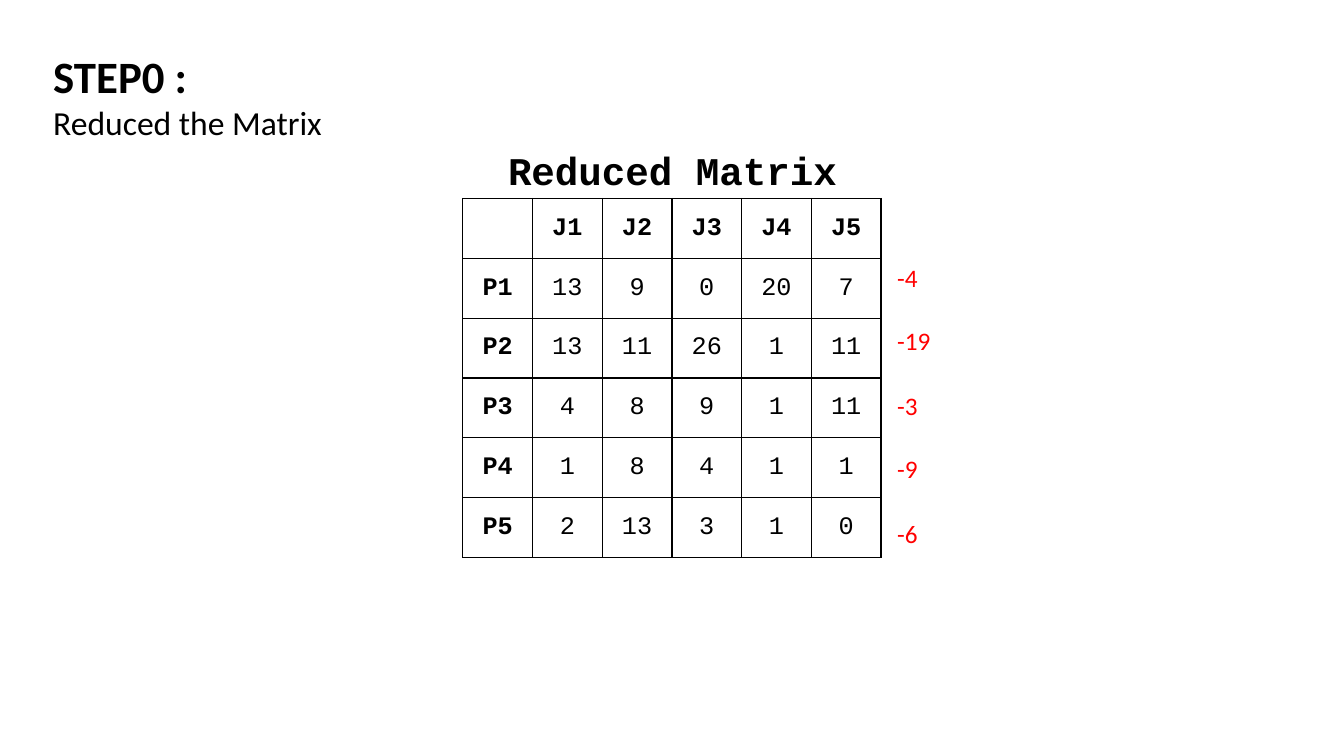
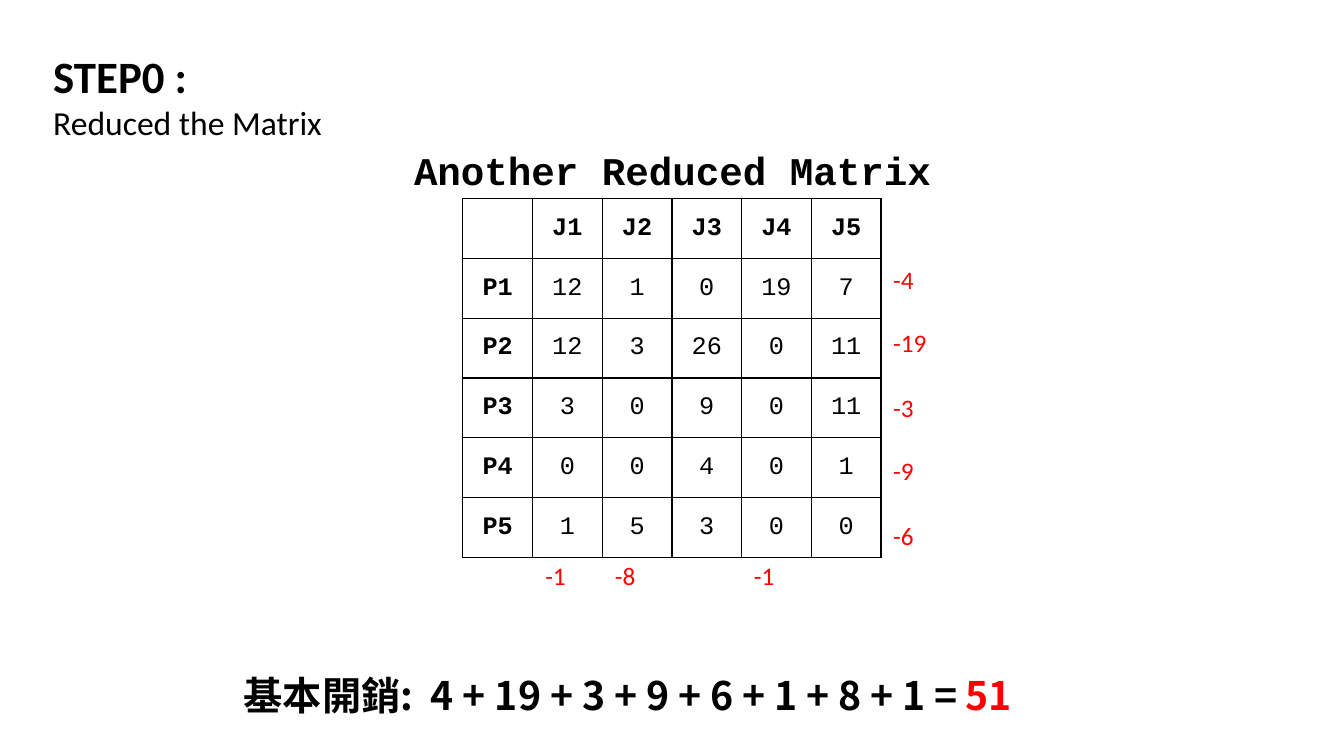
import pptx
import pptx.util
import pptx.dml.color
import pptx.enum.text
import pptx.oxml
import pptx.oxml.ns
import lxml.etree

PX = 9144  # EMU in one px, 100 px to the inch
INK = {"text": "000000", "mark": "FF0000", "cell": "FFFFFF"}
SANS, MONO, CJK = "Calibri", "Courier New", "Noto Sans CJK SC"
ALIGN = pptx.enum.text.PP_ALIGN
GRID = {"left": 459, "top": 197, "wide": 415, "high": 356}
COLUMN = 69
CUTS = [4, 19, 3, 9, 6]


def rgb(name):
    return pptx.dml.color.RGBColor.from_string(INK[name])


class Deck:
    def __init__(self, wide, high):
        self.file = pptx.Presentation()
        self.file.slide_width = wide * PX
        self.file.slide_height = high * PX
        self.slide = None

    def page(self):
        self.slide = self.file.slides.add_slide(self.file.slide_layouts[6])

    def style(self, para, size, face=SANS, ink="text", bold=False, align=None):
        para.alignment = align
        font = para.font
        font.size, font.bold, font.name = pptx.util.Pt(size), bold, face
        font.color.rgb = rgb(ink)
        if face == CJK:
            base = para._p.get_or_add_pPr().get_or_add_defRPr()
            lxml.etree.SubElement(base, pptx.oxml.ns.qn("a:ea"), typeface=face)

    def text(self, left, top, wide, high, words, size, **look):
        """Add a one-paragraph box and return its frame."""
        box = self.slide.shapes.add_textbox(
            left * PX, top * PX, wide * PX, high * PX)
        frame = box.text_frame
        frame.word_wrap = True
        frame.text = words
        self.style(frame.paragraphs[0], size, **look)
        return frame

    def head(self, step, topic):
        frame = self.text(43, 43, 296, 104, step, 32, bold=True)
        para = frame.add_paragraph()
        para.text = topic
        self.style(para, 24)

    def label(self, words):
        self.text(397, 140, 540, 57, words, 28, face=MONO, bold=True,
                  align=ALIGN.CENTER)

    def mark(self, left, top, cut):
        self.text(left, top, 60, 40, f"-{cut}", 18, ink="mark")

    def edge(self, cell):
        """Draw a 1 pt line on all four sides of a cell."""
        props = cell._tc.get_or_add_tcPr()
        for side in ("lnL", "lnR", "lnT", "lnB"):
            props.append(pptx.oxml.parse_xml(
                f'<a:{side} {pptx.oxml.ns.nsdecls("a")} w="12700"><a:solidFill>'
                f'<a:srgbClr val="{INK["text"]}"/></a:solidFill></a:{side}>'))

    def matrix(self, costs):
        rows = [[""] + [f"J{n}" for n in range(1, len(costs[0]) + 1)]]
        rows += [[f"P{n}"] + row for n, row in enumerate(costs, 1)]
        table = self.slide.shapes.add_table(
            len(rows), len(rows[0]), *(size * PX for size in GRID.values())).table
        table.first_row = table.horz_banding = False
        for r, row in enumerate(rows):
            for c, value in enumerate(row):
                cell = table.cell(r, c)
                cell.text = str(value)
                cell.vertical_anchor = pptx.enum.text.MSO_ANCHOR.MIDDLE
                self.style(cell.text_frame.paragraphs[0], 18, face=MONO,
                           bold=r == 0 or c == 0, align=ALIGN.CENTER)
                self.edge(cell)
                cell.fill.solid()
                cell.fill.fore_color.rgb = rgb("cell")

    def step(self, title, costs, left, top):
        """Start a slide with its matrix and the row cuts at left, top."""
        self.page()
        self.matrix(costs)
        for n, cut in enumerate(CUTS):
            self.mark(left, top + n * 127 // 2, cut)
        self.head("STEP0 :", "Reduced the Matrix")
        self.label(title)

    def total(self, words, answer):
        frame = self.text(232, 661, 888, 57, words, 28, face=CJK, bold=True)
        run = frame.paragraphs[0].add_run()
        run.text = answer
        run.font.color.rgb = rgb("mark")


def main():
    deck = Deck(1333, 750)
    deck.step("Reduced Matrix", [
        [13, 9, 0, 20, 7],
        [13, 11, 26, 1, 11],
        [4, 8, 9, 1, 11],
        [1, 8, 4, 1, 1],
        [2, 13, 3, 1, 0],
    ], 880, 255)

    deck.step("Another Reduced Matrix", [
        [12, 1, 0, 19, 7],
        [12, 3, 26, 0, 11],
        [3, 0, 9, 0, 11],
        [0, 0, 4, 0, 1],
        [1, 5, 3, 0, 0],
    ], 876, 257)
    drops = {1: 1, 2: 8, 4: 1}
    for column, cut in drops.items():
        deck.mark(GRID["left"] + column * COLUMN + 3, 551, cut)
    parts = CUTS + list(drops.values())
    deck.total(f"基本開銷:  {' + '.join(map(str, parts))} = ", str(sum(parts)))
    deck.file.save("out.pptx")


if __name__ == "__main__":
    main()
